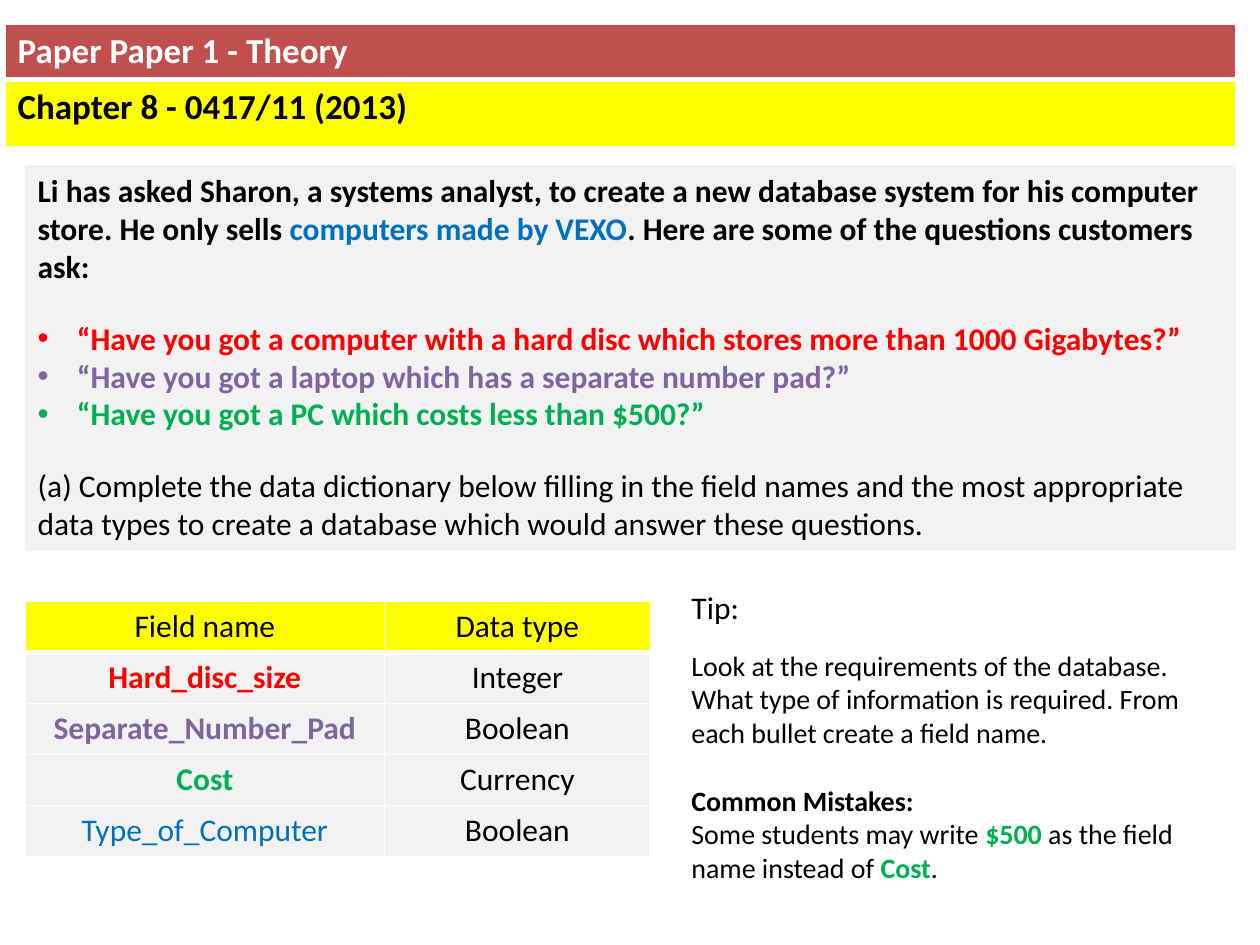
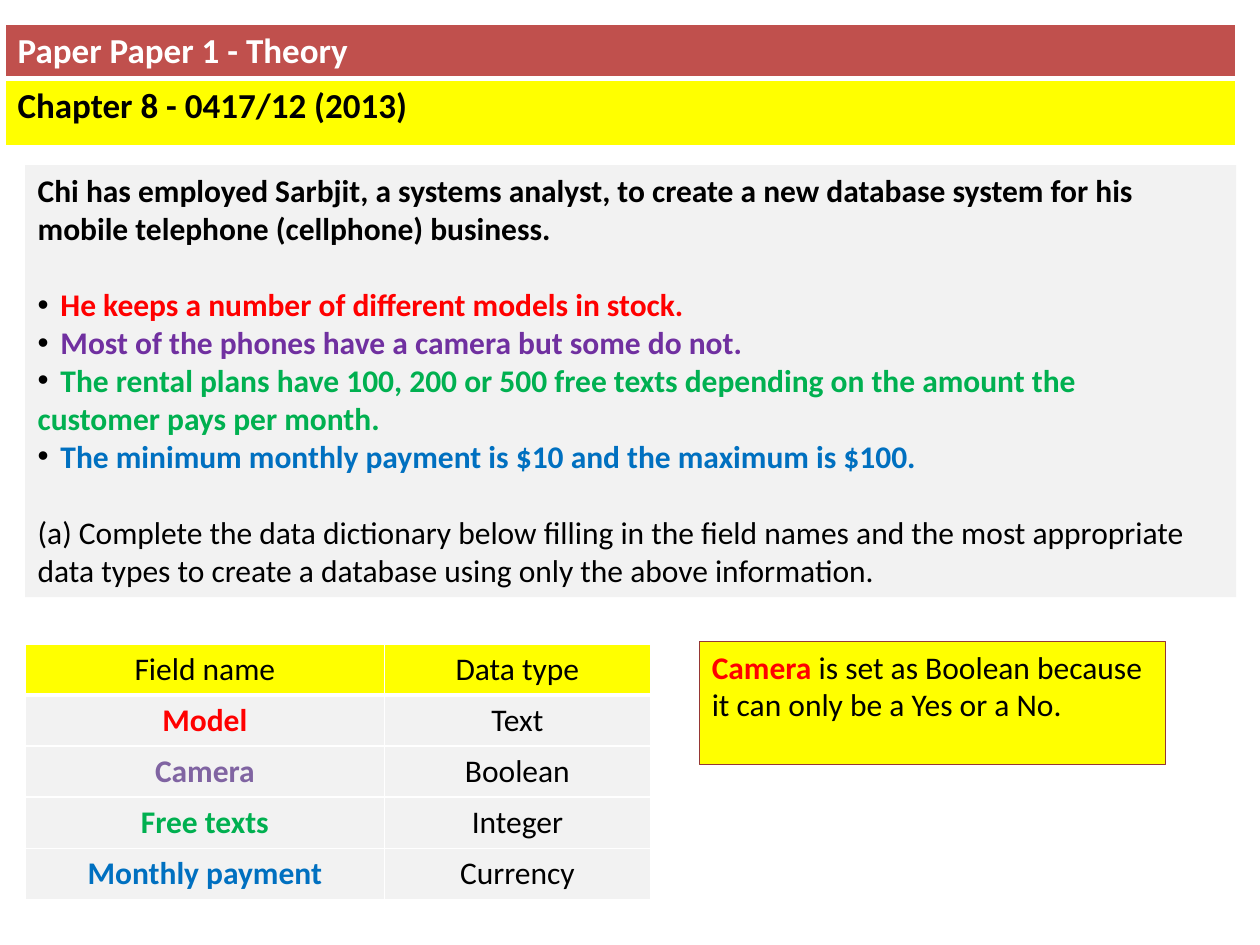
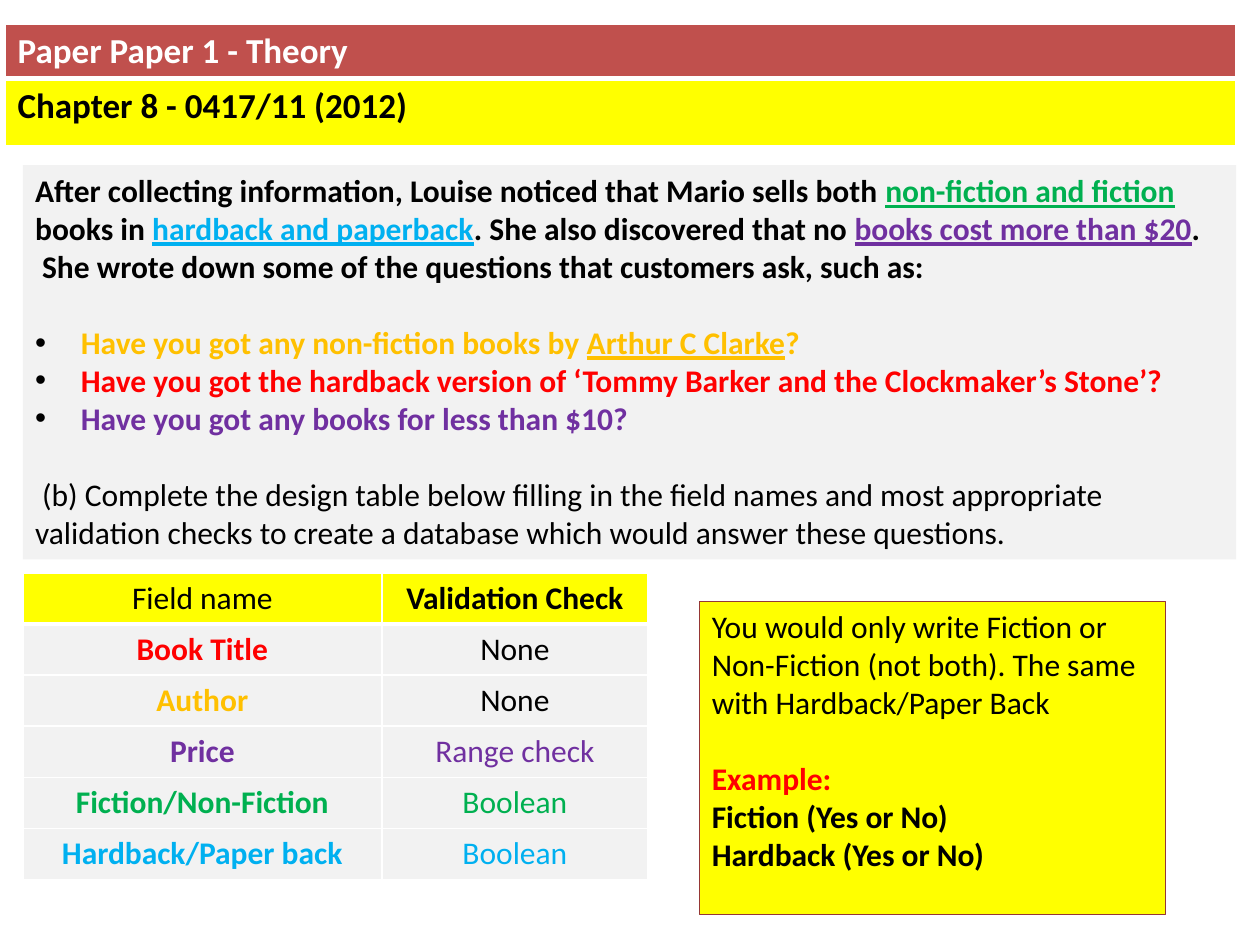
from dataclasses import dataclass

from lxml.etree import SubElement
from pptx import Presentation
from pptx.dml.color import RGBColor
from pptx.enum.shapes import MSO_SHAPE
from pptx.enum.text import MSO_ANCHOR, PP_ALIGN
from pptx.oxml.ns import qn
from pptx.util import Cm, Pt


@dataclass(frozen=True)
class Theme:
    font: str = "Calibri"
    band_size: float = 20
    body_size: float = 18
    tip_size: float = 16
    black: str = "000000"
    white: str = "FFFFFF"
    brick: str = "C0504D"
    yellow: str = "FFFF00"
    grey: str = "F2F2F2"
    outline: str = "953735"
    red: str = "FF0000"
    violet: str = "8064A2"
    purple: str = "7030A0"
    green: str = "00B050"
    blue: str = "0070C0"
    sky: str = "00B0F0"
    amber: str = "FFC000"


T = Theme()


def write(tf, text, color=T.black, size=T.body_size, bold=False, underline=False,
          new=True, gap=0, margin=0, indent=0, bullet=None, align=PP_ALIGN.LEFT):
    """Add a run; new=True starts a paragraph, new=False continues the last one."""
    p = tf.paragraphs[-1]
    if new:
        if p.runs:
            p = tf.add_paragraph()
        p.alignment = align
        p.space_before = Pt(gap)
        pPr = p._p.get_or_add_pPr()
        pPr.set("marL", str(Cm(margin)))
        pPr.set("indent", str(Cm(indent)))
        if bullet:
            SubElement(SubElement(pPr, qn("a:buClr")), qn("a:srgbClr"), val=bullet)
            SubElement(pPr, qn("a:buFont"), typeface="Arial")
            SubElement(pPr, qn("a:buChar"), char="•")
    r = p.add_run()
    r.text = text
    r.font.name = T.font
    r.font.size = Pt(size)
    r.font.bold = bold
    r.font.underline = underline
    r.font.color.rgb = RGBColor.from_string(color)


def add_grid(s, left, top, widths, heights, rows, fills, align=PP_ALIGN.LEFT):
    """Table with white rules, the one under the first row being thicker."""
    table = s.shapes.add_table(len(rows), len(widths), Cm(left), Cm(top),
                               Cm(sum(widths)), Cm(sum(heights))).table
    table.first_row = table.horz_banding = False
    for column, width in zip(table.columns, widths):
        column.width = Cm(width)
    for i, (row, height, fill) in enumerate(zip(rows, heights, fills)):
        table.rows[i].height = Cm(height)
        for j, (text, fmt) in enumerate(row):
            cell = table.cell(i, j)
            cell.vertical_anchor = MSO_ANCHOR.TOP
            write(cell.text_frame, text, align=align, **fmt)
            tcPr = cell._tc.get_or_add_tcPr()
            for side in "LRTB":
                thick = (i, side) in ((0, "B"), (1, "T"))
                ln = SubElement(tcPr, qn(f"a:ln{side}"), w=str(Pt(3 if thick else 1)))
                SubElement(SubElement(ln, qn("a:solidFill")), qn("a:srgbClr"), val=T.white)
            cell.fill.solid()
            cell.fill.fore_color.rgb = RGBColor.from_string(fill)


# Formats that recur in the wording
BOLD = dict(bold=True)
MORE = dict(new=False)
MORE_BOLD = dict(new=False, bold=True)
LINK = dict(new=False, bold=True, underline=True)
QUOTE = dict(bold=True, margin=0.79, indent=-0.79)
FACT = dict(bold=True, margin=0.46, indent=-0.46, bullet=T.black)
ASK = dict(bold=True, margin=0.92, indent=-0.92, bullet=T.black)
TIP = dict(size=T.tip_size)
SMALL_GAP, LINE_GAP = 19.5, 22
FIELD = ("Field name", {})
DATA_TYPE = ("Data type", {})

# Each box: left, top, width, height, fill, outline, text
slides = [
    dict(
        chapter="Chapter 8 - 0417/11 (2013)",
        boxes=[
            (0.51, 3.33, 24.41, 7.77, T.grey, None, [
                ("Li has asked Sharon, a systems analyst, to create a new database system "
                 "for his computer store. He only sells ", BOLD),
                ("computers made by VEXO", dict(MORE_BOLD, color=T.blue)),
                (". Here are some of the questions customers ask:", MORE_BOLD),
                ("“Have you got a computer with a hard disc which stores more than "
                 "1000 Gigabytes?”", dict(QUOTE, color=T.red, bullet=T.red, gap=SMALL_GAP)),
                ("“Have you got a laptop which has a separate number pad?”",
                 dict(QUOTE, color=T.violet, bullet=T.violet)),
                ("“Have you got a PC which costs less than $500?”",
                 dict(QUOTE, color=T.green, bullet=T.green)),
                ("(a) Complete the data dictionary below filling in the field names and the "
                 "most appropriate data types to create a database which would answer these "
                 "questions.", dict(gap=SMALL_GAP)),
            ]),
            (13.69, 11.73, 11.2, 6.27, None, None, [
                ("Tip:", {}),
                ("Look at the requirements of the database. What type of information is "
                 "required. From each bullet create a field name.", dict(TIP, gap=12.8)),
                ("Common Mistakes:", dict(TIP, bold=True, gap=SMALL_GAP)),
                ("Some students may write ", TIP),
                ("$500 ", dict(TIP, **MORE_BOLD, color=T.green)),
                ("as the field name instead of ", dict(TIP, **MORE)),
                ("Cost", dict(TIP, **MORE_BOLD, color=T.green)),
                (".", dict(TIP, **MORE)),
            ]),
        ],
        grid_at=(0.51, 12.12),
        grid=[
            (FIELD, DATA_TYPE),
            (("Hard_disc_size", dict(BOLD, color=T.red)), ("Integer", {})),
            (("Separate_Number_Pad", dict(BOLD, color=T.violet)), ("Boolean", {})),
            (("Cost", dict(BOLD, color=T.green)), ("Currency", {})),
            (("Type_of_Computer", dict(color=T.blue)), ("Boolean", {})),
        ],
    ),
    dict(
        chapter="Chapter 8 - 0417/12 (2013)",
        boxes=[
            (0.51, 3.33, 24.41, 8.71, T.grey, None, [
                ("Chi has employed Sarbjit, a systems analyst, to create a new database "
                 "system for his", BOLD),
                ("mobile telephone (cellphone) business.", BOLD),
                ("He keeps a number of different models in stock.",
                 dict(FACT, color=T.red, gap=LINE_GAP)),
                ("Most of the phones have a camera but some do not.",
                 dict(FACT, color=T.purple)),
                ("The rental plans have 100, 200 or 500 free texts depending on the amount "
                 "the", dict(FACT, color=T.green)),
                ("customer pays per month.", dict(BOLD, color=T.green)),
                ("The minimum monthly payment is $10 and the maximum is $100.",
                 dict(FACT, color=T.blue)),
                ("(a) Complete the data dictionary below filling in the field names and the "
                 "most appropriate", dict(gap=LINE_GAP)),
                ("data types to create a database using only the above information.", {}),
            ]),
            (14.1, 12.93, 9.4, 2.49, T.yellow, T.outline, [
                ("Camera ", dict(BOLD, color=T.red)),
                ("is set as Boolean because it can only be a Yes or a No.", MORE),
            ]),
        ],
        grid_at=(0.51, 12.98),
        grid=[
            (FIELD, DATA_TYPE),
            (("Model", dict(BOLD, color=T.red)), ("Text", {})),
            (("Camera", dict(BOLD, color=T.violet)), ("Boolean", {})),
            (("Free texts", dict(BOLD, color=T.green)), ("Integer", {})),
            (("Monthly payment", dict(BOLD, color=T.blue)), ("Currency", {})),
        ],
    ),
    dict(
        chapter="Chapter 8 - 0417/11 (2012)",
        boxes=[
            (0.46, 3.33, 24.46, 7.95, T.grey, None, [
                ("After collecting information, Louise noticed that Mario sells both ", BOLD),
                ("non-fiction and fiction", dict(LINK, color=T.green)),
                ("books in ", BOLD),
                ("hardback and paperback", dict(LINK, color=T.sky)),
                (". She also discovered that no ", MORE_BOLD),
                ("books cost more than $20", dict(LINK, color=T.purple)),
                (".", MORE_BOLD),
                ("She wrote down some of the questions that customers ask, such as:",
                 dict(BOLD, indent=0.14)),
                ("Have you got any non-fiction books by ",
                 dict(ASK, color=T.amber, gap=LINE_GAP)),
                ("Arthur C Clarke", dict(LINK, color=T.amber)),
                ("?", dict(MORE_BOLD, color=T.amber)),
                ("Have you got the hardback version of ‘Tommy Barker and the Clockmaker’s "
                 "Stone’?", dict(ASK, color=T.red)),
                ("Have you got any books for less than $10?", dict(ASK, color=T.purple)),
                ("(b) Complete the design table below filling in the field names and most "
                 "appropriate", dict(indent=0.14, gap=LINE_GAP)),
                ("validation checks to create a database which would answer these "
                 "questions.", {}),
            ]),
            (14.1, 12.12, 9.4, 6.32, T.yellow, T.outline, [
                ("You would only write Fiction or Non-Fiction (not both). The same with "
                 "Hardback/Paper Back", {}),
                ("Example:", dict(BOLD, color=T.red, gap=LINE_GAP)),
                ("Fiction (Yes or No)", BOLD),
                ("Hardback (Yes or No)", BOLD),
            ]),
        ],
        grid_at=(0.46, 11.55),
        grid=[
            (FIELD, ("Validation Check", BOLD)),
            (("Book Title", dict(BOLD, color=T.red)), ("None", {})),
            (("Author", dict(BOLD, color=T.amber)), ("None", {})),
            (("Price", dict(BOLD, color=T.purple)), ("Range check", dict(color=T.purple))),
            (("Fiction/Non-Fiction", dict(BOLD, color=T.green)),
             ("Boolean", dict(color=T.green))),
            (("Hardback/Paper back", dict(BOLD, color=T.sky)),
             ("Boolean", dict(color=T.sky))),
        ],
    ),
]

prs = Presentation()
prs.slide_width, prs.slide_height = Cm(25.4), Cm(19.05)

for content in slides:
    s = prs.slides.add_slide(prs.slide_layouts[6])

    # Paper and chapter bands
    band = dict(size=T.band_size, bold=True)
    add_grid(s, 0.1, 0.48, [24.82], [1.1, 1.36],
             [[("Paper Paper 1 - Theory", dict(band, color=T.white))],
              [(content["chapter"], band)]],
             [T.brick, T.yellow])

    # Question panel and side note
    for left, top, width, height, fill, line, runs in content["boxes"]:
        at = Cm(left), Cm(top), Cm(width), Cm(height)
        if fill:
            sp = s.shapes.add_shape(MSO_SHAPE.RECTANGLE, *at)
            sp.shadow.inherit = False
            sp.fill.solid()
            sp.fill.fore_color.rgb = RGBColor.from_string(fill)
            if line:
                sp.line.color.rgb = RGBColor.from_string(line)
                sp.line.width = Pt(0.75)
            else:
                sp.line.fill.background()
        else:
            sp = s.shapes.add_textbox(*at)
        tf = sp.text_frame
        tf.word_wrap = True
        tf.vertical_anchor = MSO_ANCHOR.TOP
        for text, fmt in runs:
            write(tf, text, **fmt)

    # Answer table
    grid = content["grid"]
    add_grid(s, *content["grid_at"], [7.24, 5.36], [1.03] * len(grid), grid,
             [T.yellow] + [T.grey] * (len(grid) - 1), align=PP_ALIGN.CENTER)

prs.save("out.pptx")
